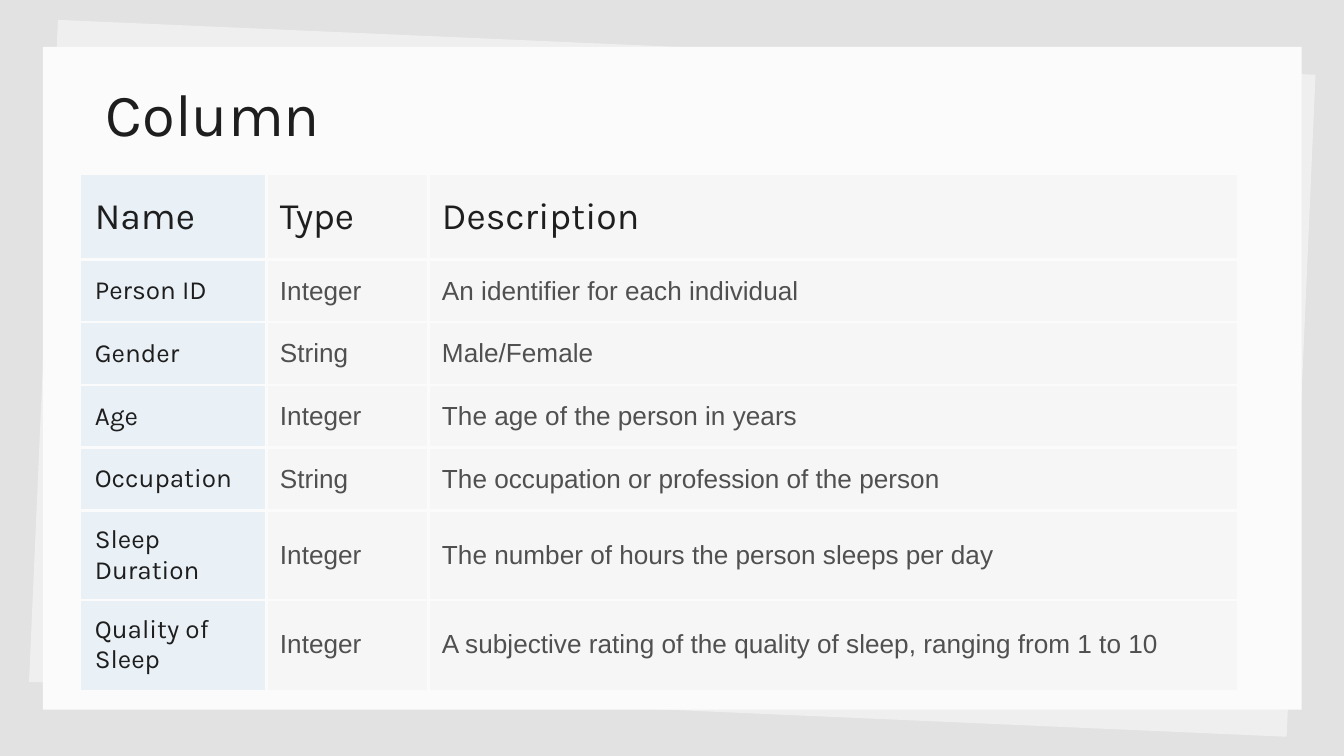
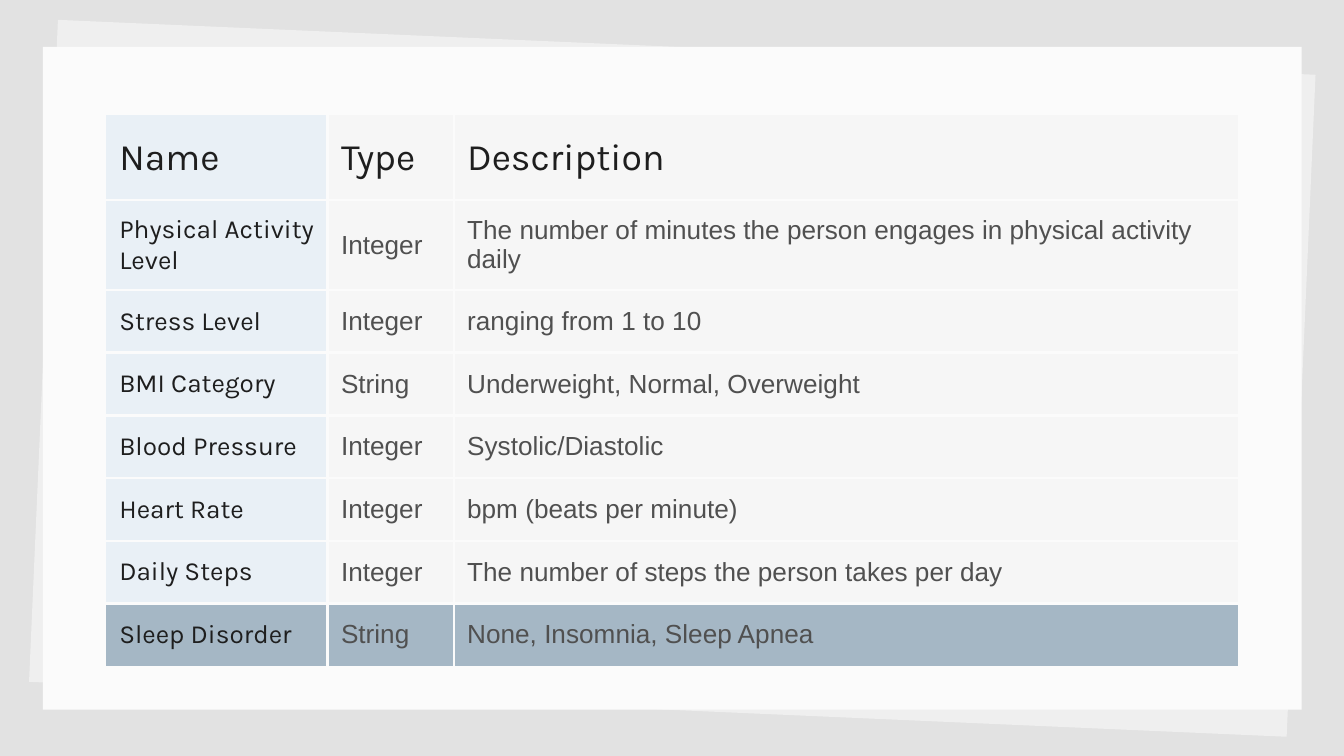
from dataclasses import dataclass

from lxml import etree
from pptx import Presentation
from pptx import util as u
from pptx.dml.color import RGBColor
from pptx.enum import shapes, text
from pptx.oxml.ns import qn

Pt = u.Pt
INK = {
    "back": "E2E2E2",
    "under": "EFEFEF",
    "paper": "FBFBFB",
    "name": "E9F0F6",
    "cell": "F6F6F6",
    "mark": "A5B7C5",
    "dark": "1E1E1E",
    "body": "505050",
}
HEAD_FONT, BODY_FONT = "Karla", "Arial"
HEAD = ("Name", "Type", "Description")
PAD = Pt(7.2)
HEAD_ROW, BODY_ROW = 45.6, 33.6


@dataclass
class Grid:
    left: float
    top: float
    cols: tuple[float, ...]
    rows: list[tuple[str, str, str]]
    mark_last: bool = False


FIRST = Grid(43.6, 93.5, (99.2, 86.8, 433), [
    ("Person ID", "Integer", "An identifier for each individual"),
    ("Gender", "String", "Male/Female"),
    ("Age", "Integer", "The age of the person in years"),
    ("Occupation", "String", "The occupation or profession of the person"),
    ("Sleep Duration", "Integer", "The number of hours the person sleeps per day"),
    ("Quality of Sleep", "Integer",
     "A subjective rating of the quality of sleep, ranging from 1 to 10"),
])
SECOND = Grid(56.7, 61.7, (118.8, 67.6, 420.4), [
    ("Physical Activity Level", "Integer",
     "The number of minutes the person engages in physical activity daily"),
    ("Stress Level", "Integer", "ranging from 1 to 10"),
    ("BMI Category", "String", "Underweight, Normal, Overweight"),
    ("Blood Pressure", "Integer", "Systolic/Diastolic"),
    ("Heart Rate", "Integer", "bpm (beats per minute)"),
    ("Daily Steps", "Integer", "The number of steps the person takes per day"),
    ("Sleep Disorder", "String", "None, Insomnia, Sleep Apnea"),
], mark_last=True)


def rgb(key: str) -> RGBColor:
    return RGBColor.from_string(INK[key])


def style(frame, size: float, face: str, key: str) -> None:
    for run in frame.paragraphs[0].runs:
        run.font.size = Pt(size)
        run.font.name = face
        run.font.color.rgb = rgb(key)


def sheet(slide, key: str, turn: float) -> None:
    rect = slide.shapes.add_shape(
        shapes.MSO_SHAPE.RECTANGLE, Pt(23), Pt(25.2), Pt(674.4), Pt(355))
    rect.rotation = turn
    rect.shadow.inherit = False
    rect.fill.solid()
    rect.fill.fore_color.rgb = rgb(key)
    rect.line.fill.background()


def page(deck):
    """Add a slide with the two stacked sheets of paper."""
    slide = deck.slides.add_slide(deck.slide_layouts[6])
    slide.background.fill.solid()
    slide.background.fill.fore_color.rgb = rgb("back")
    sheet(slide, "under", 2.5)
    sheet(slide, "paper", 0)
    return slide


def title(slide, words: str) -> None:
    box = slide.shapes.add_textbox(Pt(49.7), Pt(33.8), Pt(607), Pt(45.4))
    frame = box.text_frame
    frame.word_wrap = True
    frame.margin_left = frame.margin_right = PAD
    frame.margin_top = frame.margin_bottom = PAD
    frame.text = words
    style(frame, 32, HEAD_FONT, "dark")


def edge(cell, side: str, shown: bool) -> None:
    line = etree.SubElement(cell._tc.get_or_add_tcPr(), qn(f"a:ln{side}"))
    if not shown:
        etree.SubElement(line, qn("a:noFill"))
        return
    line.set("w", str(Pt(1.5)))
    fill = etree.SubElement(line, qn("a:solidFill"))
    etree.SubElement(fill, qn("a:srgbClr")).set("val", INK["paper"])


def table(slide, grid: Grid) -> None:
    rows = [HEAD, *grid.rows]
    last, end = len(rows) - 1, len(HEAD) - 1
    high = HEAD_ROW + BODY_ROW * last
    tab = slide.shapes.add_table(
        len(rows), len(HEAD), Pt(grid.left), Pt(grid.top),
        Pt(sum(grid.cols)), Pt(high)).table
    tab.first_row = tab.horz_banding = False
    for col, wide in zip(tab.columns, grid.cols):
        col.width = Pt(wide)
    for r, row in enumerate(rows):
        tab.rows[r].height = Pt(BODY_ROW if r else HEAD_ROW)
        for c, words in enumerate(row):
            cell = tab.cell(r, c)
            inner = {"L": c > 0, "R": c < end, "T": r > 0, "B": r < last}
            for side, shown in inner.items():
                edge(cell, side, shown)
            marked = grid.mark_last and r == last
            cell.fill.solid()
            cell.fill.fore_color.rgb = rgb(
                "mark" if marked else "cell" if c else "name")
            cell.vertical_anchor = text.MSO_ANCHOR.MIDDLE
            cell.margin_left = cell.margin_right = PAD
            cell.margin_top = cell.margin_bottom = PAD
            cell.text_frame.text = words
            plain = r > 0 and c > 0
            style(cell.text_frame, 14 if r else 20,
                  BODY_FONT if plain else HEAD_FONT,
                  "body" if plain else "dark")


def main() -> None:
    deck = Presentation()
    deck.slide_width, deck.slide_height = Pt(720), Pt(405)
    slide = page(deck)
    title(slide, "Column")
    table(slide, FIRST)
    table(page(deck), SECOND)
    deck.save("out.pptx")


if __name__ == "__main__":
    main()
